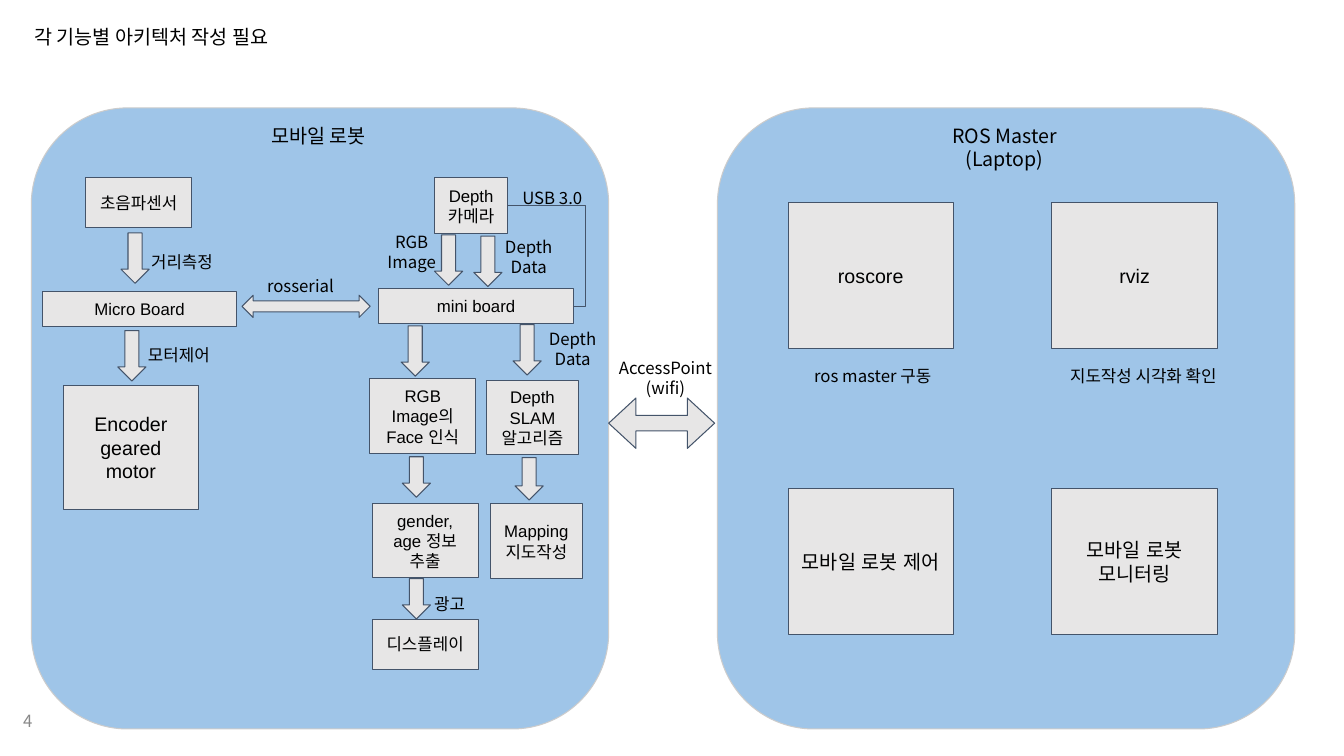
from dataclasses import dataclass

from lxml import etree
from pptx import Presentation
from pptx.dml.color import RGBColor
from pptx.enum.shapes import MSO_CONNECTOR, MSO_SHAPE
from pptx.enum.text import MSO_ANCHOR, PP_ALIGN
from pptx.oxml.ns import qn
from pptx.util import Cm, Pt

RECTANGLE, ROUNDED = MSO_SHAPE.RECTANGLE, MSO_SHAPE.ROUNDED_RECTANGLE
DOWN, BOTH_WAYS = MSO_SHAPE.DOWN_ARROW, MSO_SHAPE.LEFT_RIGHT_ARROW
ELBOW = MSO_CONNECTOR.ELBOW
LEFT, CENTER, RIGHT = PP_ALIGN.LEFT, PP_ALIGN.CENTER, PP_ALIGN.RIGHT
TOP, MIDDLE = MSO_ANCHOR.TOP, MSO_ANCHOR.MIDDLE
RIGHT_SIDE = 3  # connection site of a rectangle


@dataclass(frozen=True)
class Theme:
    panel: RGBColor = RGBColor(0x9F, 0xC5, 0xE8)
    panel_line: RGBColor = RGBColor(0xCC, 0xCC, 0xCC)
    block: RGBColor = RGBColor(0xE7, 0xE6, 0xE6)
    outline: RGBColor = RGBColor(0x44, 0x54, 0x6A)
    ink: RGBColor = RGBColor(0, 0, 0)
    muted: RGBColor = RGBColor(0x88, 0x88, 0x88)
    label_font: str = "Noto Sans CJK KR"
    block_font: str = "Arial"
    large: int = 14
    small: int = 12
    line: float = 0.75


THEME = Theme()
PANEL_SIZE = (14.55, 15.65)
BLOCK_ARROW_WIDTH = 0.71


def write_text(shape, lines, size, font, color, align, anchor):
    frame = shape.text_frame
    frame.word_wrap = True
    frame.vertical_anchor = anchor
    frame.margin_left = frame.margin_right = Cm(0.25)
    frame.margin_top = frame.margin_bottom = Cm(0.25)
    for index, line in enumerate(lines.split("\n")):
        paragraph = frame.add_paragraph() if index else frame.paragraphs[0]
        paragraph.alignment = align
        run = paragraph.add_run()
        run.text = line
        run.font.size = Pt(size)
        run.font.name = font
        run.font.color.rgb = color
        east_asian = etree.SubElement(run.font._element, qn("a:ea"))
        east_asian.set("typeface", font)


def add_label(slide, box, lines, size=THEME.small, align=CENTER,
              color=THEME.ink, anchor=TOP):
    shape = slide.shapes.add_textbox(*map(Cm, box))
    write_text(shape, lines, size, THEME.label_font, color, align, anchor)


def add_figure(slide, kind, box, adjustments=(), fill=THEME.block,
               line=THEME.outline):
    shape = slide.shapes.add_shape(kind, *map(Cm, box))
    shape.shadow.inherit = False
    shape.fill.solid()
    shape.fill.fore_color.rgb = fill
    shape.line.color.rgb = line
    shape.line.width = Pt(THEME.line)
    for index, value in enumerate(adjustments):
        shape.adjustments[index] = value
    return shape


def add_block(slide, box, lines, size=THEME.small):
    shape = add_figure(slide, RECTANGLE, box)
    write_text(shape, lines, size, THEME.block_font, THEME.ink, CENTER, MIDDLE)
    return shape


def add_cable(slide, start, end, bend):
    """Elbow line between two right sides; bend is the share of its width."""
    cable = slide.shapes.add_connector(ELBOW, 0, 0, 0, 0)
    cable.begin_connect(start, RIGHT_SIDE)
    cable.end_connect(end, RIGHT_SIDE)
    cable.line.color.rgb = THEME.outline
    cable.line.width = Pt(THEME.line)
    properties = cable._element.spPr
    etree.SubElement(properties, qn("a:effectLst"))
    geometry = properties.find(qn("a:prstGeom"))
    guides = geometry.find(qn("a:avLst"))
    if guides is None:
        guides = etree.SubElement(geometry, qn("a:avLst"))
    guide = etree.SubElement(guides, qn("a:gd"))
    guide.set("name", "adj1")
    guide.set("fmla", f"val {round(bend * 100000)}")


def add_panel(slide, left, top, title):
    add_figure(slide, ROUNDED, (left, top, *PANEL_SIZE), (0.167,),
               THEME.panel, THEME.panel_line)
    add_label(slide, (left + 5.1, top + 0.15, 4.27, 1.42), title, THEME.large)


def add_robot(slide, left, top):
    add_panel(slide, left, top, "모바일 로봇")

    def place(x, y, width, height):
        return left + x, top + y, width, height

    # Sensor and motor side
    add_block(slide, place(1.37, 1.75, 2.67, 1.27), "초음파센서")
    add_block(slide, place(0.28, 4.62, 4.9, 0.89), "Micro Board")
    add_block(slide, place(0.81, 6.99, 3.4, 3.12), "Encoder geared motor",
              THEME.large)

    # Camera and main computer
    camera = add_block(slide, place(10.16, 1.75, 1.85, 1.42), "Depth\n카메라")
    computer = add_block(slide, place(8.76, 4.55, 4.9, 0.89), "mini board")
    add_cable(slide, camera, computer, 1.18)

    # Image and depth processing
    for x, y, width, lines in (
        (8.53, 6.83, 2.67, "RGB Image의 Face 인식"),
        (8.59, 9.96, 2.67, "gender, age 정보 추출"),
        (11.46, 6.86, 2.34, "Depth\nSLAM\n알고리즘"),
        (11.56, 9.98, 2.34, "Mapping\n지도작성"),
    ):
        add_block(slide, place(x, y, width, 1.88), lines)
    add_block(slide, place(8.59, 12.88, 2.67, 1.27), "디스플레이")

    # Flow arrows
    for x, y, height in (
        (2.26, 3.15, 1.27), (2.18, 5.61, 1.27),
        (10.16, 3.2, 1.27), (11.15, 3.23, 1.27),
        (9.32, 5.49, 1.27), (12.14, 5.46, 1.27),
        (9.35, 8.79, 1.02), (12.19, 8.81, 1.07), (9.35, 11.86, 1.02),
    ):
        add_figure(slide, DOWN, place(x, y, BLOCK_ARROW_WIDTH, height))
    add_figure(slide, BOTH_WAYS, place(5.31, 4.72, 3.23, 0.56))

    # Flow labels
    for x, y, width, height, lines, align in (
        (2.77, 3.38, 2.34, 0.89, "거리측정", LEFT),
        (2.69, 5.71, 2.34, 0.89, "모터제어", LEFT),
        (5.69, 3.99, 2.34, 0.89, "rosserial", LEFT),
        (11.96, 1.75, 2.34, 0.89, "USB 3.0", CENTER),
        (8.66, 2.87, 1.85, 1.27, "RGB Image", CENTER),
        (11.61, 3, 1.85, 1.27, "Depth Data", CENTER),
        (12.65, 5.31, 1.98, 1.27, "Depth Data", CENTER),
        (9.83, 11.99, 1.42, 1.02, "광고", CENTER),
    ):
        add_label(slide, place(x, y, width, height), lines, align=align)


def add_master(slide, left, top):
    add_panel(slide, left, top, "ROS Master\n(Laptop)")
    functions = (("roscore", "rviz"), ("모바일 로봇 제어", "모바일 로봇 모니터링"))
    for row, names in enumerate(functions):
        for column, name in enumerate(names):
            box = (left + 1.78 + 6.65 * column, top + 2.39 + 7.21 * row,
                   4.17, 3.68)
            add_block(slide, box, name, THEME.large)
    add_label(slide, (left + 1.83, top + 6.25, 4.17, 2.11), "ros master 구동")
    add_label(slide, (left + 8.41, top + 6.25, 4.65, 2.11), "지도작성 시각화 확인")


def add_wireless_link(slide, left, top):
    add_label(slide, (left, top, 2.9, 1.42), "AccessPoint(wifi)")
    add_figure(slide, BOTH_WAYS, (left + 0.02, top + 1.27, 2.67, 1.27),
               (0.308, 0.541))


def main():
    presentation = Presentation()
    presentation.slide_width, presentation.slide_height = Cm(33.87), Cm(19.05)
    slide = presentation.slides.add_slide(presentation.slide_layouts[6])

    # Heading and page number
    add_label(slide, (0.61, 0.38, 7.85, 1.27), "각 기능별 아키텍처 작성 필요",
              THEME.large, LEFT)
    add_label(slide, (0, 17.65, 1.07, 1.02), "4", align=RIGHT,
              color=THEME.muted, anchor=MIDDLE)

    # Robot, laptop and the link between them
    add_robot(slide, 0.79, 2.72)
    add_master(slide, 18.08, 2.72)
    add_wireless_link(slide, 15.32, 8.76)
    presentation.save("out.pptx")


if __name__ == "__main__":
    main()
